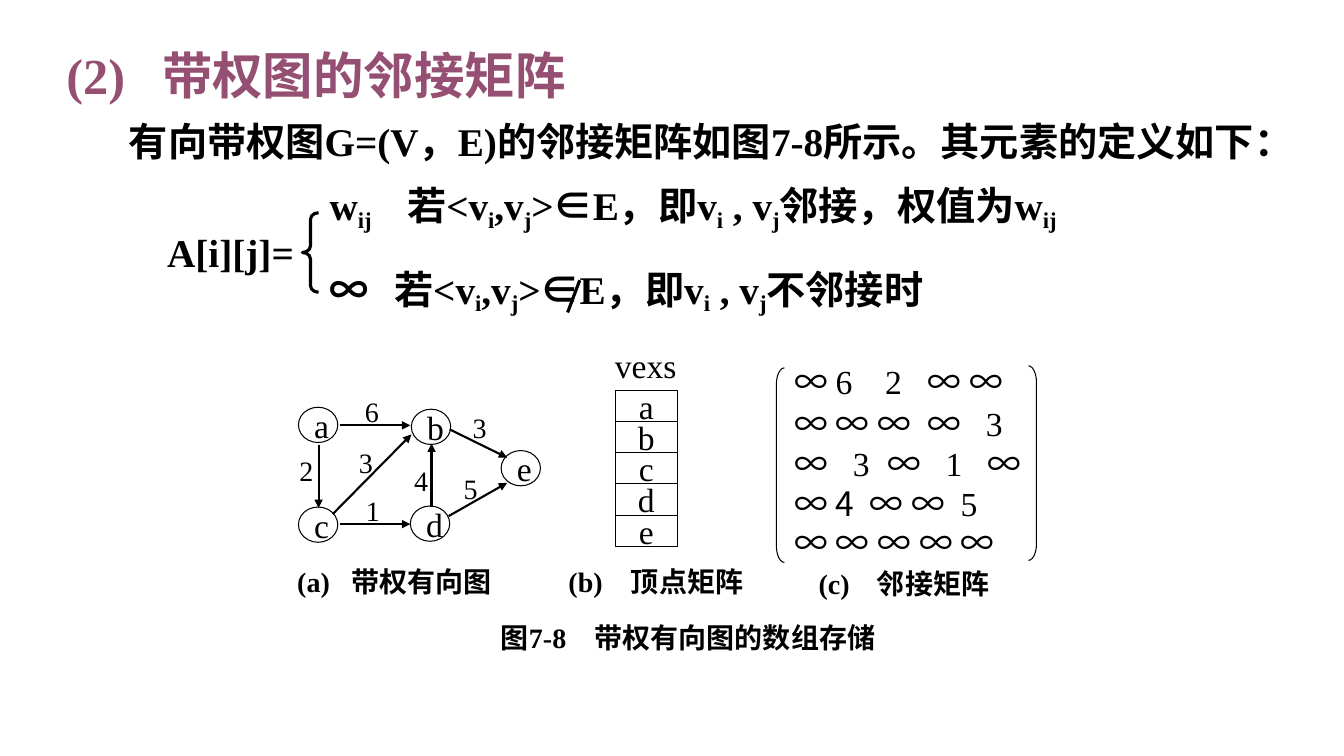
from dataclasses import dataclass
from itertools import groupby

import pptx
import pptx.dml.color
import pptx.enum.shapes
import pptx.enum.text
import pptx.oxml
import pptx.oxml.ns
import pptx.util
from pptx.util import Inches, Pt

SHAPE = pptx.enum.shapes.MSO_SHAPE
ALIGN = pptx.enum.text.PP_ALIGN
ANCHOR = pptx.enum.text.MSO_ANCHOR


@dataclass(frozen=True)
class Theme:
    ink: str = "000000"
    accent: str = "954F72"
    font: str = "Times New Roman"
    cjk: str = "Noto Sans CJK SC"
    title: int = 36
    body: int = 28
    label: int = 24
    caption: int = 20
    thin: float = 0.75
    edge: float = 1.5
    bold: float = 2.25


THEME = Theme()


def color(value):
    return pptx.dml.color.RGBColor.from_string(value)


def add_xml(parent, tag, **attrs):
    child = pptx.oxml.parse_xml(f"<a:{tag} {pptx.oxml.ns.nsdecls('a')}/>")
    for name, value in attrs.items():
        child.set(name, str(value))
    parent.append(child)
    return child


def fill_paragraph(p, text, size, bold=False, ink=THEME.ink, tabs=(), symbols="∞∈"):
    """Write text whose every second "|" piece is a subscript."""
    p.font.size, p.font.bold, p.font.name = Pt(size), bold, THEME.font
    p.font.color.rgb = color(ink)
    if tabs:
        tab_list = add_xml(p._p.pPr, "tabLst")
        p._p.pPr.insert(0, tab_list)
        for stop in tabs:
            add_xml(tab_list, "tab", pos=Inches(stop), algn="l")
    for i, piece in enumerate(text.split("|")):
        for is_symbol, chars in groupby(piece, lambda char: char in symbols):
            r = p.add_run()
            r.text = "".join(chars)
            if is_symbol:
                r.font.name = THEME.cjk
            r_pr = r._r.get_or_add_rPr()
            add_xml(r_pr, "ea", typeface=THEME.cjk)
            if i % 2:
                r_pr.set("baseline", "-18000")


def add_label(s, x, y, w, h, text, size, **style):
    tf = s.shapes.add_textbox(Inches(x), Inches(y), Inches(w), Inches(h)).text_frame
    tf.word_wrap = True
    tf.margin_right = 0
    tf.vertical_anchor = ANCHOR.MIDDLE
    fill_paragraph(tf.paragraphs[0], text, size, **style)


def add_outline(s, kind, x, y, w, h, width=THEME.thin, adjustments=()):
    sp = s.shapes.add_shape(kind, Inches(x), Inches(y), Inches(w), Inches(h))
    sp.shadow.inherit = False
    sp.fill.background()
    sp.line.color.rgb = color(THEME.ink)
    sp.line.width = Pt(width)
    for i, value in enumerate(adjustments):
        sp.adjustments[i] = value
    return sp


def add_cell(s, kind, x, y, w, h, text, align):
    tf = add_outline(s, kind, x, y, w, h).text_frame
    tf.word_wrap = False
    tf.vertical_anchor = ANCHOR.MIDDLE
    tf.paragraphs[0].alignment = align
    fill_paragraph(tf.paragraphs[0], text, THEME.label)


def add_line(s, x1, y1, x2, y2, width, arrow=False):
    line = s.shapes.add_connector(pptx.enum.shapes.MSO_CONNECTOR.STRAIGHT,
                                  Inches(x1), Inches(y1), Inches(x2), Inches(y2))
    line.line.color.rgb = color(THEME.ink)
    line.line.width = Pt(width)
    if arrow:
        add_xml(line.line._get_or_add_ln(), "tailEnd", type="triangle")
    add_xml(line._element.spPr, "effectLst")


def add_heading(s):
    tf = s.shapes.add_textbox(Inches(0.56), Inches(0.33), Inches(12.29), Inches(1.89)).text_frame
    tf.word_wrap = True
    title, intro = tf.paragraphs[0], tf.add_paragraph()
    for p, size in ((title, THEME.title), (intro, THEME.body)):
        p.line_spacing = 1.1
        p.space_before = Pt(size * 0.2)
    fill_paragraph(title, "(2)\t带权图的邻接矩阵", THEME.title, bold=True,
                   ink=THEME.accent, tabs=[0.95])
    fill_paragraph(intro, "有向带权图G=(V，E)的邻接矩阵如图7-8所示。其元素的定义如下：",
                   THEME.body, bold=True)
    intro._p.pPr.set("indent", str(Inches(0.62)))


def add_definition(s):
    add_label(s, 3.17, 1.8, 7.9, 0.51, "w|ij|\t若<v|i|,v|j|>∈E，即v|i| , v|j|邻接，权值为w|ij",
              THEME.body, bold=True, tabs=[0.77])
    add_label(s, 3.17, 2.63, 6.5, 0.51, "∞\t若<v|i|,v|j|>∈E，即v|i| , v|j|不邻接时",
              THEME.body, bold=True, tabs=[0.64])
    add_label(s, 1.56, 2.26, 1.42, 0.47, "A[i][j]=", THEME.body, bold=True)
    add_outline(s, SHAPE.LEFT_BRACE, 3, 2.11, 0.16, 0.79, THEME.bold, [0.415, 0.5])
    add_line(s, 5.75, 2.78, 5.63, 3.1, THEME.bold)


def add_graph(s):
    nodes = {"a": (2.96, 4.04), "b": (4.08, 4.06), "c": (2.96, 5.03),
             "d": (4.07, 5.02), "e": (4.97, 4.47)}
    edges = [  # start, end, weight, place of the weight
        (3.16, 4.41, 3.16, 5.04, "2", 2.87, 4.51),
        (4.28, 5.03, 4.28, 4.4, "4", 4.01, 4.61),
        (3.37, 4.22, 4.07, 4.22, "6", 3.52, 3.93),
        (3.37, 5.2, 4.07, 5.2, "1", 3.53, 4.91),
        (3.3, 5.1, 4.08, 4.31, "3", 3.46, 4.43),
        (4.45, 5.12, 5.03, 4.79, "5", 4.5, 4.69),
        (4.46, 4.26, 5.03, 4.54, "3", 4.59, 4.08),
    ]
    for name, (x, y) in nodes.items():
        add_cell(s, SHAPE.OVAL, x, y, 0.39, 0.35, name, ALIGN.LEFT)
    for x1, y1, x2, y2, weight, x, y in edges:
        add_line(s, x1, y1, x2, y2, THEME.edge, arrow=True)
        add_label(s, x, y, 0.31, 0.31, weight, THEME.caption)


def add_vertices(s):
    add_label(s, 6, 3.45, 0.79, 0.35, "vexs", THEME.label)
    for i, name in enumerate("abcde"):
        add_cell(s, SHAPE.RECTANGLE, 6.1, 3.87 + 0.31 * i, 0.62, 0.31, name, ALIGN.CENTER)


def add_matrix(s):
    rows = [
        (3.61, "∞62∞∞", [0.41, 0.9, 1.32, 1.74], "∞"),
        (4.02, "∞∞∞∞3", [0.41, 0.83, 1.32, 1.9], "∞"),
        (4.42, "∞3∞1∞", [0.58, 0.92, 1.5, 1.92], "∞"),
        (4.82, "∞4∞∞5", [0.41, 0.75, 1.16, 1.65], "∞4"),
        (5.2, "∞∞∞∞∞", [0.41, 0.83, 1.24, 1.65], "∞"),
    ]
    for y, entries, tabs, symbols in rows:
        add_label(s, 7.78, y, 2.4, 0.35, "\t".join(entries), THEME.label,
                  tabs=tabs, symbols=symbols)
    add_outline(s, SHAPE.LEFT_BRACKET, 7.7, 3.65, 0.08, 1.93, adjustments=[2.057])
    add_outline(s, SHAPE.RIGHT_BRACKET, 10.2, 3.63, 0.08, 1.93, adjustments=[2.057])


def add_captions(s):
    captions = [
        (2.85, 5.59, 2.1, "(a)\t带权有向图", 0.54),
        (5.54, 5.59, 1.9, "(b)\t顶点矩阵", 0.62),
        (8.02, 5.61, 1.9, "(c)\t邻接矩阵", 0.58),
        (4.87, 6.15, 3.9, "图7-8\t带权有向图的数组存储", 0.93),
    ]
    for x, y, w, text, tab in captions:
        add_label(s, x, y, w, 0.35, text, THEME.caption, bold=True, tabs=[tab])


def main():
    prs = pptx.Presentation()
    prs.slide_width, prs.slide_height = Inches(13.33), Inches(7.5)
    s = prs.slides.add_slide(prs.slide_layouts[6])
    add_heading(s)
    add_definition(s)
    add_graph(s)
    add_vertices(s)
    add_matrix(s)
    add_captions(s)
    prs.save("out.pptx")


if __name__ == "__main__":
    main()
